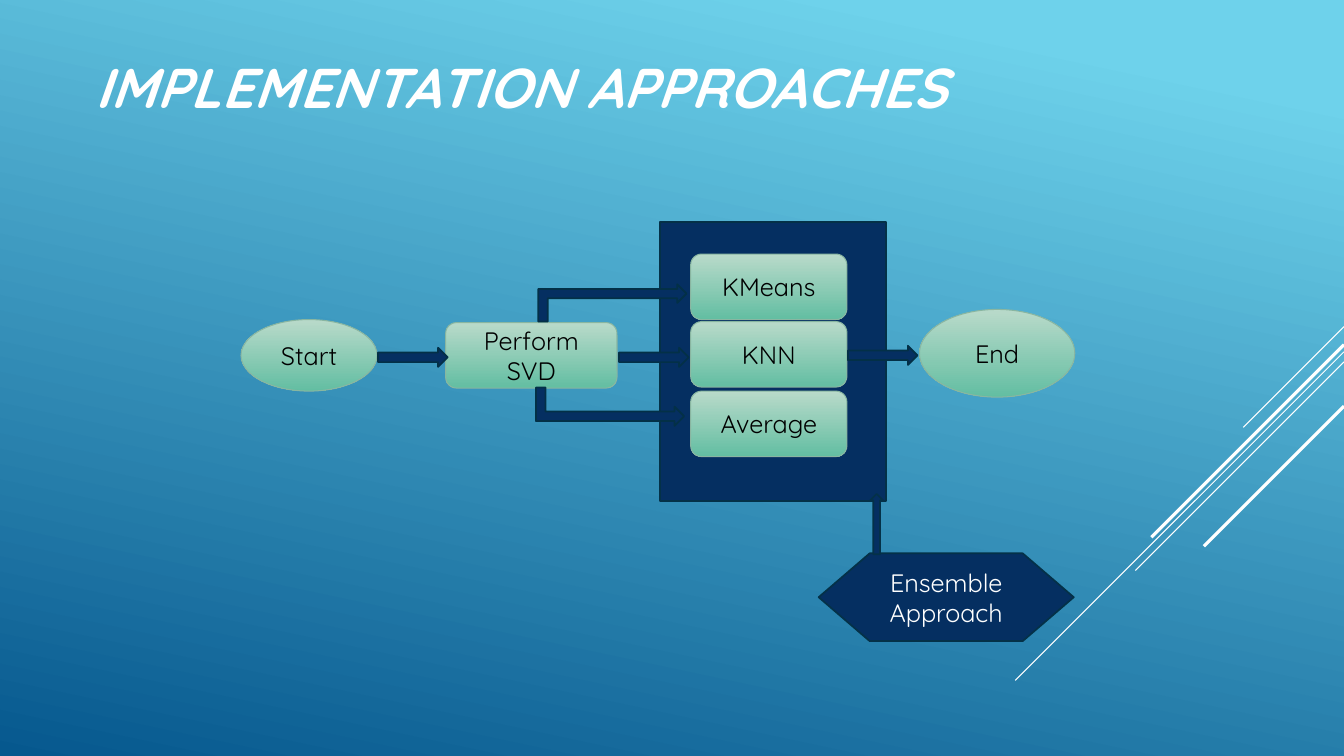
from pptx import Presentation
from pptx import util as u
from pptx.dml import color
from pptx.enum import shapes, text
from pptx.oxml import ns
from lxml import etree

FONT = "Quicksand"
NAVY, WHITE, BLACK = "052F61", "FFFFFF", "000000"
KIND = shapes.MSO_SHAPE
WIDE, HIGH = 13.33, 7.5


def rgb(code):
    return color.RGBColor.from_string(code)


def box(*sizes):
    return [u.Inches(size) for size in sizes]


def blend(fill, stops, angle):
    fill.gradient()
    fill.gradient_angle = angle
    for stop, (place, code) in zip(fill.gradient_stops, stops):
        stop.position = place
        stop.color.rgb = rgb(code)


def style(para, code, size, align):
    para.alignment = align
    para.font.name = FONT
    para.font.size = u.Pt(size)
    para.font.color.rgb = rgb(code)


def label(shape, words, code):
    frame = shape.text_frame
    frame.word_wrap = True
    frame.vertical_anchor = text.MSO_ANCHOR.MIDDLE
    frame.text = words
    style(frame.paragraphs[0], code, 18, text.PP_ALIGN.CENTER)


def block(slide, kind, place, edge, width):
    shape = slide.shapes.add_shape(kind, *box(*place))
    shape.shadow.inherit = False
    shape.line.color.rgb = rgb(edge)
    shape.line.width = u.Pt(width)
    return shape


def solid(slide, kind, place, edge="043148"):
    shape = block(slide, kind, place, edge, 1.25)
    shape.fill.solid()
    shape.fill.fore_color.rgb = rgb(NAVY)
    return shape


def step(slide, kind, place, words):
    shape = block(slide, kind, place, "89B6A1", 0.75)
    blend(shape.fill, [(0, "B9DACA"), (1, "63BEA2")], 270)
    label(shape, words, BLACK)


def bend(slide, place, flip=False):
    arrow = solid(slide, KIND.BENT_UP_ARROW, place, "033047")
    arrow.rotation = 90
    if flip:
        arrow._element.spPr.xfrm.set("flipH", "1")


def streak(slide, top, span, width):
    ends = box(WIDE, top, WIDE - span, top + span)
    line = slide.shapes.add_connector(shapes.MSO_CONNECTOR.STRAIGHT, *ends)
    line.line.color.rgb = rgb(WHITE)
    line.line.width = u.Pt(width)
    etree.SubElement(line._element.spPr, ns.qn("a:effectLst"))


def head(slide, words):
    title = slide.shapes.title
    title.left, title.top, title.width, title.height = box(0.84, 0.21, 10.32, 1.28)
    frame = title.text_frame
    frame.text = words
    frame.word_wrap = True
    frame.vertical_anchor = text.MSO_ANCHOR.MIDDLE
    para = frame.paragraphs[0]
    style(para, WHITE, 40, text.PP_ALIGN.LEFT)
    para.font.bold = para.font.italic = True


def main():
    deck = Presentation()
    deck.slide_width, deck.slide_height = box(WIDE, HIGH)
    slide = deck.slides.add_slide(deck.slide_layouts[5])

    # Backdrop with diagonal streaks
    blend(slide.background.fill, [(0.1, "6ED2EB"), (1, "06588E")], 258)
    for top, span, width in [(3.24, 1, 0.75), (3.49, 3.26, 0.75), (3.59, 2.07, 0.75),
                             (3.42, 1.91, 2.25), (4.03, 1.39, 2.25)]:
        streak(slide, top, span, width)
    head(slide, "IMPLEMENTATION APPROACHES")

    # Panel and steps
    solid(slide, KIND.RECTANGLE, (6.55, 2.2, 2.24, 2.77))
    step(slide, KIND.OVAL, (2.39, 3.17, 1.35, 0.71), "Start")
    step(slide, KIND.ROUNDED_RECTANGLE, (4.42, 3.2, 1.7, 0.65), "Perform SVD")
    for top, words in [(2.52, "KMeans"), (3.19, "KNN"), (3.88, "Average")]:
        step(slide, KIND.ROUNDED_RECTANGLE, (6.85, top, 1.55, 0.65), words)
    step(slide, KIND.OVAL, (9.12, 3.07, 1.54, 0.87), "End")

    # Flow arrows
    bend(slide, (5.86, 3.3, 0.38, 1.47))
    bend(slide, (5.89, 2.27, 0.37, 1.47), flip=True)
    for left, top in [(3.75, 3.45), (6.14, 3.45), (8.41, 3.43)]:
        solid(slide, KIND.RIGHT_ARROW, (left, top, 0.69, 0.19), "033047")

    # Ensemble note
    note = solid(slide, KIND.FLOWCHART_PREPARATION, (8.12, 5.49, 2.53, 0.87))
    label(note, "Ensemble Approach", WHITE)
    solid(slide, KIND.UP_ARROW, (8.63, 4.9, 0.13, 0.6))

    deck.save("out.pptx")


if __name__ == "__main__":
    main()
